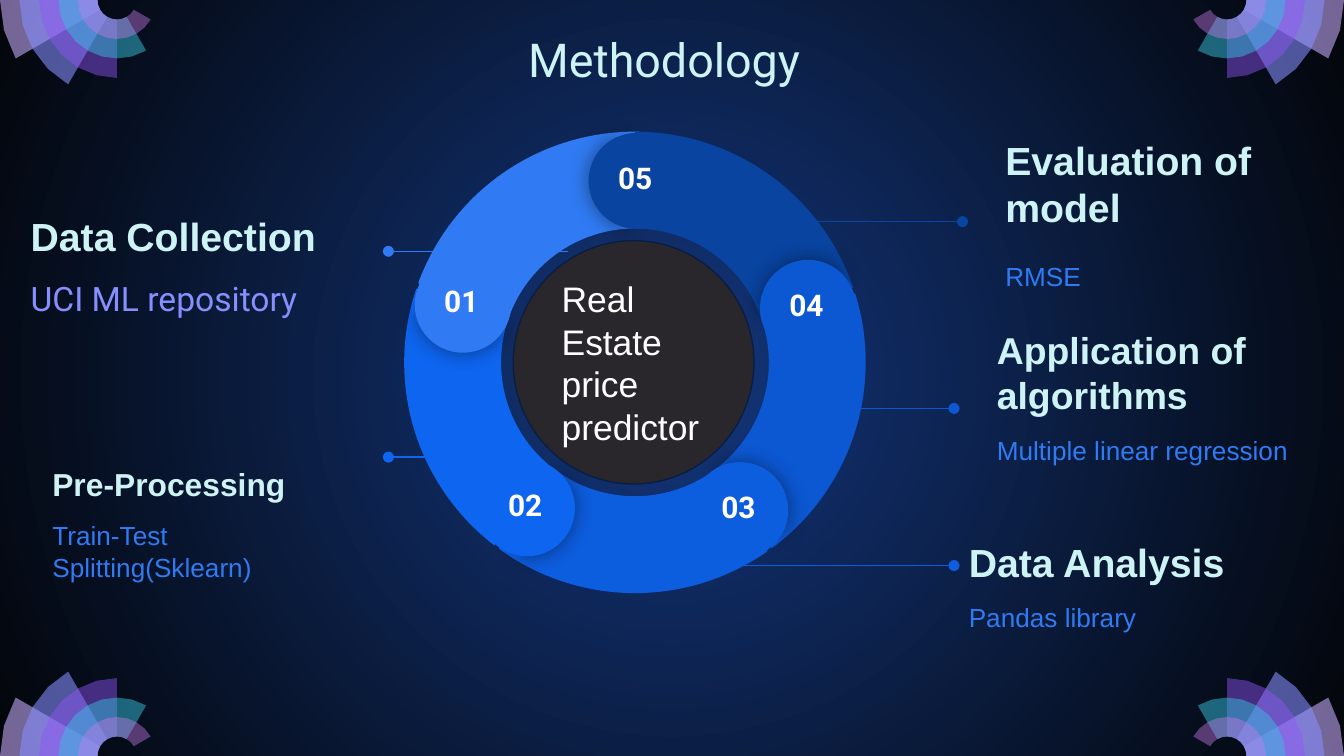
from math import cos, radians, sin

from lxml.etree import SubElement
from pptx import Presentation
from pptx.dml.color import RGBColor
from pptx.enum.shapes import MSO_CONNECTOR, MSO_SHAPE
from pptx.enum.text import MSO_ANCHOR, PP_ALIGN
from pptx.oxml.ns import qn
from pptx.util import Cm, Pt

WIDTH, HEIGHT = 25.4, 14.29
INSET = 0.25

NAVY = RGBColor(0x13, 0x36, 0x7C)
NIGHT = RGBColor(0x03, 0x05, 0x09)
MINT = RGBColor(0xCE, 0xF3, 0xF5)
LILAC = RGBColor(0x87, 0x8F, 0xFF)
SKY = RGBColor(0x30, 0x7B, 0xF3)
WHITE = RGBColor(0xFF, 0xFF, 0xFF)
CHARCOAL = RGBColor(0x29, 0x27, 0x2C)
RIM = RGBColor(0x0A, 0x1D, 0x42)
STEP_COLORS = [
    SKY,
    RGBColor(0x0E, 0x65, 0xF0),
    RGBColor(0x0D, 0x5D, 0xDF),
    RGBColor(0x0C, 0x58, 0xD3),
    RGBColor(0x09, 0x44, 0xA1),
]
PETALS = [
    (RGBColor(0xC8, 0xAC, 0xFD), 58),
    (LILAC, 58),
    (RGBColor(0x91, 0x54, 0xF8), 46),
    (RGBColor(0x35, 0xC2, 0xDF), 49),
    (RGBColor(0xCA, 0x7B, 0xEB), 42),
]

CALLOUTS = [
    ((0.33, 3.61, 6.43, 2.82), (10.74, 7.34, 4.75), 0,
     ("Data Collection", 21), 10, ("UCI ML repository", 18, "Roboto", LILAC)),
    ((0.74, 8.64, 6.17, 2.82), (9.93, 7.34, 8.64), 0.3,
     ("Pre-Processing", 17), 9, ("Train-Test Splitting(Sklearn)", 14, "Arial", SKY)),
    ((18.06, 9.42, 6.45, 3.3), (12.93, 18.03, 10.69), 0,
     ("Data Analysis", 21), 9, ("Pandas library", 14, "Arial", SKY)),
    ((18.59, 6.43, 6.43, 3), (15.6, 18.03, 7.72), 0.87,
     ("Application of algorithms", 20), 9, ("Multiple linear regression", 14, "Arial", SKY)),
    ((18.75, 2.72, 6.12, 3.3), (14.48, 18.19, 4.19), 0.65,
     ("Evaluation of model", 21), 16, ("RMSE", 14, "Arial", SKY)),
]


def paint_background(s):
    fill = s.background.fill
    fill.gradient()
    for stop, position, color in zip(fill.gradient_stops, (0, 1), (NAVY, NIGHT)):
        stop.position = position
        stop.color.rgb = color
    grad = next(s.element.iter(qn("a:gradFill")))
    for lin in grad.findall(qn("a:lin")):
        grad.remove(lin)
    circle = SubElement(grad, qn("a:path"), path="circle")
    SubElement(circle, qn("a:fillToRect"), l="50000", t="50000", r="50000", b="50000")


def style(sp, color):
    sp.shadow.inherit = False
    sp.fill.solid()
    sp.fill.fore_color.rgb = color
    sp.line.fill.background()


def add_run(p, text, size, font, color, bold=False):
    r = p.add_run()
    r.text = text
    r.font.size = Pt(size)
    r.font.name = font
    r.font.bold = bold
    r.font.color.rgb = color


def set_frame(tf, anchor, extra_bottom=0):
    tf.word_wrap = True
    tf.vertical_anchor = anchor
    tf.margin_left = tf.margin_right = tf.margin_top = Cm(INSET)
    tf.margin_bottom = Cm(INSET + extra_bottom)


def add_text(s, box, text, size, font, color, bold=False):
    tf = s.shapes.add_textbox(*map(Cm, box)).text_frame
    set_frame(tf, MSO_ANCHOR.TOP)
    p = tf.paragraphs[0]
    p.alignment = PP_ALIGN.CENTER
    add_run(p, text, size, font, color, bold)


def corner_fan(s, x, y, dx, dy, size):
    ring_width = size / 6

    def point(radius, angle):
        a = radians(angle)
        return Cm(x + dx * (size - radius * cos(a))), Cm(y + dy * radius * sin(a))

    for i, (color, alpha) in enumerate(PETALS):
        angles = range(0, 30 * (i + 1) + 1, 15)
        points = [point(size - i * ring_width, a) for a in angles]
        points += [point(ring_width, a) for a in reversed(angles)]
        builder = s.shapes.build_freeform(*points[0])
        builder.add_line_segments(points[1:], close=True)
        sp = builder.convert_to_shape()
        style(sp, color)
        rgb = next(sp.element.spPr.iter(qn("a:srgbClr")))
        SubElement(rgb, qn("a:alpha"), val=str(alpha * 1000))


def callout(s, box, pointer, extra_bottom, heading, gap, detail, color):
    start, end, y = pointer
    line = s.shapes.add_connector(MSO_CONNECTOR.STRAIGHT, Cm(start), Cm(y), Cm(end), Cm(y))
    line.line.color.rgb = color
    line.line.width = Pt(0.75)
    SubElement(line.element.spPr.find(qn("a:ln")), qn("a:tailEnd"), type="oval")
    SubElement(line.element.spPr, qn("a:effectLst"))

    tf = s.shapes.add_textbox(*map(Cm, box)).text_frame
    set_frame(tf, MSO_ANCHOR.MIDDLE, extra_bottom)
    p = tf.paragraphs[0]
    p.space_after = Pt(gap)
    add_run(p, *heading, "Arial", MINT, True)
    add_run(tf.add_paragraph(), *detail)


def ring_part(s, kind, box, rotation, adjustments, color):
    sp = s.shapes.add_shape(kind, *map(Cm, box))
    sp.rotation = rotation % 360
    for i, value in enumerate(adjustments):
        sp.adjustments[i] = value
    style(sp, color)
    return sp


def ring(s, x, y, size):
    cap = 1.82
    orbit = 3.43
    for i, color in enumerate(STEP_COLORS):
        ring_part(s, MSO_SHAPE.BLOCK_ARC, (x, y, size, size), 350 - 72.5 * i,
                  (126.03, 168.68, 0.21), color)
    for i, color in enumerate(STEP_COLORS):
        angle = radians(198.6 - 72 * i)
        left = x + size / 2 + orbit * cos(angle) - cap / 2
        top = y + size / 2 + orbit * sin(angle) - cap / 2
        box = (left, top, cap, cap)
        turn = 284.4 - 72 * i
        sp = ring_part(s, MSO_SHAPE.PIE, box, turn, (61.9, 149.96), color)
        effects = sp.element.spPr.find(qn("a:effectLst"))
        shadow = SubElement(effects, qn("a:outerShdw"), blurRad=str(int(Pt(11.2))), dist="0",
                            dir="0", algn="ctr", rotWithShape="0")
        rgb = SubElement(shadow, qn("a:srgbClr"), val="000000")
        SubElement(rgb, qn("a:alpha"), val="43000")
        ring_part(s, MSO_SHAPE.PIE, box, turn + 179.3, (40.28, 171.84), color)
        add_text(s, (left + 0.08, top + 0.25, 1.6, 0.84), f"{i + 1:02}", 16, "Roboto", WHITE, True)


def hub(s, box):
    sp = s.shapes.add_shape(MSO_SHAPE.OVAL, *map(Cm, box))
    style(sp, CHARCOAL)
    sp.line.color.rgb = RIM
    sp.line.width = Pt(0.75)
    set_frame(sp.text_frame, MSO_ANCHOR.MIDDLE)
    p = sp.text_frame.paragraphs[0]
    p.alignment = PP_ALIGN.LEFT
    add_run(p, "Real Estate price predictor", 19, "Arial", WHITE)


def main():
    prs = Presentation()
    prs.slide_width, prs.slide_height = Cm(WIDTH), Cm(HEIGHT)
    s = prs.slides.add_slide(prs.slide_layouts[6])
    paint_background(s)
    for x, dx in ((0, 1), (WIDTH, -1)):
        for y, dy in ((0, 1), (HEIGHT, -1)):
            corner_fan(s, x, y, dx, dy, 2.21)
    for parts, color in zip(CALLOUTS, STEP_COLORS):
        callout(s, *parts, color)
    ring(s, 7.64, 2.49, 8.72)
    hub(s, (9.7, 4.55, 4.55, 4.6))
    add_text(s, (3.48, 0.33, 18.14, 1.57), "Methodology", 25, "Roboto", MINT)
    prs.save("out.pptx")


if __name__ == "__main__":
    main()
